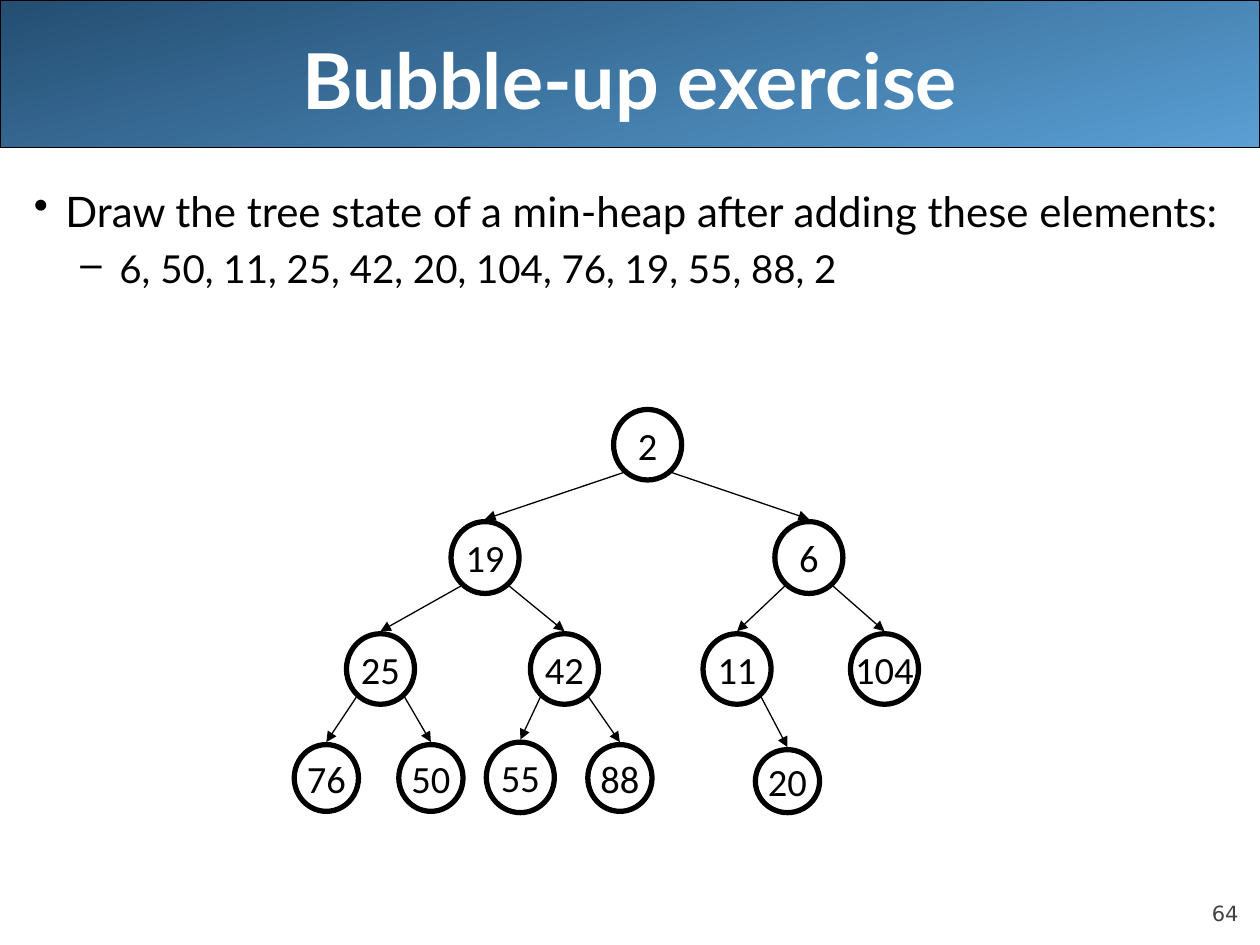
from lxml.etree import SubElement
from pptx import Presentation
from pptx.dml.color import RGBColor
from pptx.enum.shapes import MSO_CONNECTOR, MSO_SHAPE
from pptx.enum.text import MSO_ANCHOR, PP_ALIGN
from pptx.oxml.ns import qn
from pptx.util import Inches, Pt

BLACK = "000000"
HEAP = [
    ("2", 5.14, 3.25, 0.54, 0.56),
    ("19", 3.85, 4.14, 0.54, 0.57),
    ("6", 6.42, 4.14, 0.54, 0.57),
    ("25", 3.02, 5.03, 0.54, 0.56),
    ("42", 4.48, 5.03, 0.54, 0.56),
    ("11", 5.85, 5.03, 0.54, 0.56),
    ("104", 7.02, 5.03, 0.54, 0.56),
    ("76", 2.59, 5.91, 0.51, 0.53),
    ("50", 3.42, 5.91, 0.51, 0.53),
    ("55", 4.13, 5.89, 0.54, 0.56),
    ("88", 4.92, 5.91, 0.51, 0.53),
    ("20", 6.25, 5.95, 0.51, 0.5),
]


def color(hex_value):
    return RGBColor.from_string(hex_value)


def outline(shape, points):
    shape.line.color.rgb = color(BLACK)
    shape.line.width = Pt(points)


def add_run(paragraph, text, size, font, hex_value, bold=False):
    run = paragraph.add_run()
    run.text = text
    run.font.size = Pt(size)
    run.font.name = font
    run.font.bold = bold
    run.font.color.rgb = color(hex_value)


def add_text_frame(slide, left, top, width, height, anchor):
    box = slide.shapes.add_textbox(Inches(left), Inches(top), Inches(width), Inches(height))
    frame = box.text_frame
    frame.word_wrap = True
    frame.vertical_anchor = anchor
    return frame


def add_banner(slide):
    banner = slide.shapes.add_shape(
        MSO_SHAPE.ROUNDED_RECTANGLE, Inches(0), Inches(0), Inches(10), Inches(1.17)
    )
    banner.adjustments[0] = 0
    banner.shadow.inherit = False
    banner.fill.gradient()
    banner.fill.gradient_angle = 285
    for stop, hex_value in zip(banner.fill.gradient_stops, ("244E72", "5A9FD4")):
        stop.color.rgb = color(hex_value)
    outline(banner, 0.75)


def add_title(slide, text):
    title = add_text_frame(slide, 0.5, 0, 9, 1.25, MSO_ANCHOR.MIDDLE).paragraphs[0]
    title.alignment = PP_ALIGN.CENTER
    add_run(title, text, 44, "Lato", "FFFFFF", bold=True)


def add_page_number(slide, text):
    frame = add_text_frame(slide, 9, 6.95, 0.83, 0.4, MSO_ANCHOR.BOTTOM)
    frame.margin_left = frame.margin_right = frame.margin_top = frame.margin_bottom = 0
    number = frame.paragraphs[0]
    number.alignment = PP_ALIGN.RIGHT
    add_run(number, text, 12, "DejaVu Sans", "424242")


def add_bullet(paragraph, text, mark, level, margin, hanging, size):
    paragraph.level = level
    properties = paragraph._p.get_or_add_pPr()
    properties.set("marL", str(Inches(margin)))
    properties.set("indent", str(-Inches(hanging)))
    SubElement(properties, qn("a:buChar"), char=mark)
    add_run(paragraph, text, size, "Lato", BLACK)


def add_task(slide):
    frame = add_text_frame(slide, 0.17, 1.42, 9.83, 5.67, MSO_ANCHOR.TOP)
    add_bullet(
        frame.paragraphs[0],
        "Draw the tree state of a min-heap after adding these elements:",
        "•", 0, 0.25, 0.25, 24,
    )
    elements = frame.add_paragraph()
    elements.space_before = Pt(5.5)
    add_bullet(
        elements, "6, 50, 11, 25, 42, 20, 104, 76, 19, 55, 88, 2", "–", 1, 0.68, 0.31, 22
    )


def add_node(slide, value, center, top, width, height):
    node = slide.shapes.add_shape(
        MSO_SHAPE.OVAL, Inches(center - width / 2), Inches(top), Inches(width), Inches(height)
    )
    node.shadow.inherit = False
    node.fill.background()
    outline(node, 3)
    frame = node.text_frame
    frame.word_wrap = False
    frame.vertical_anchor = MSO_ANCHOR.MIDDLE
    label = frame.paragraphs[0]
    label.alignment = PP_ALIGN.CENTER
    add_run(label, value, 22, "Calibri", BLACK)


def add_edge(slide, parent, child):
    _, parent_center, parent_top, _, parent_height = parent
    _, child_center, child_top, _, _ = child
    side = 0.19 if child_center > parent_center else -0.19
    edge = slide.shapes.add_connector(
        MSO_CONNECTOR.STRAIGHT,
        Inches(parent_center + side),
        Inches(parent_top + parent_height - 0.06),
        Inches(child_center),
        Inches(child_top - 0.02),
    )
    outline(edge, 0.75)
    SubElement(edge.line._get_or_add_ln(), qn("a:tailEnd"), type="triangle")
    SubElement(edge._element.spPr, qn("a:effectLst"))


def add_heap(slide):
    for index, node in enumerate(HEAP):
        add_node(slide, *node)
        if index:
            add_edge(slide, HEAP[(index - 1) // 2], node)


def main():
    presentation = Presentation()
    presentation.slide_width = Inches(10)
    presentation.slide_height = Inches(7.5)
    slide = presentation.slides.add_slide(presentation.slide_layouts[6])
    add_banner(slide)
    add_page_number(slide, "64")
    add_title(slide, "Bubble-up exercise")
    add_task(slide)
    add_heap(slide)
    presentation.save("out.pptx")


if __name__ == "__main__":
    main()
